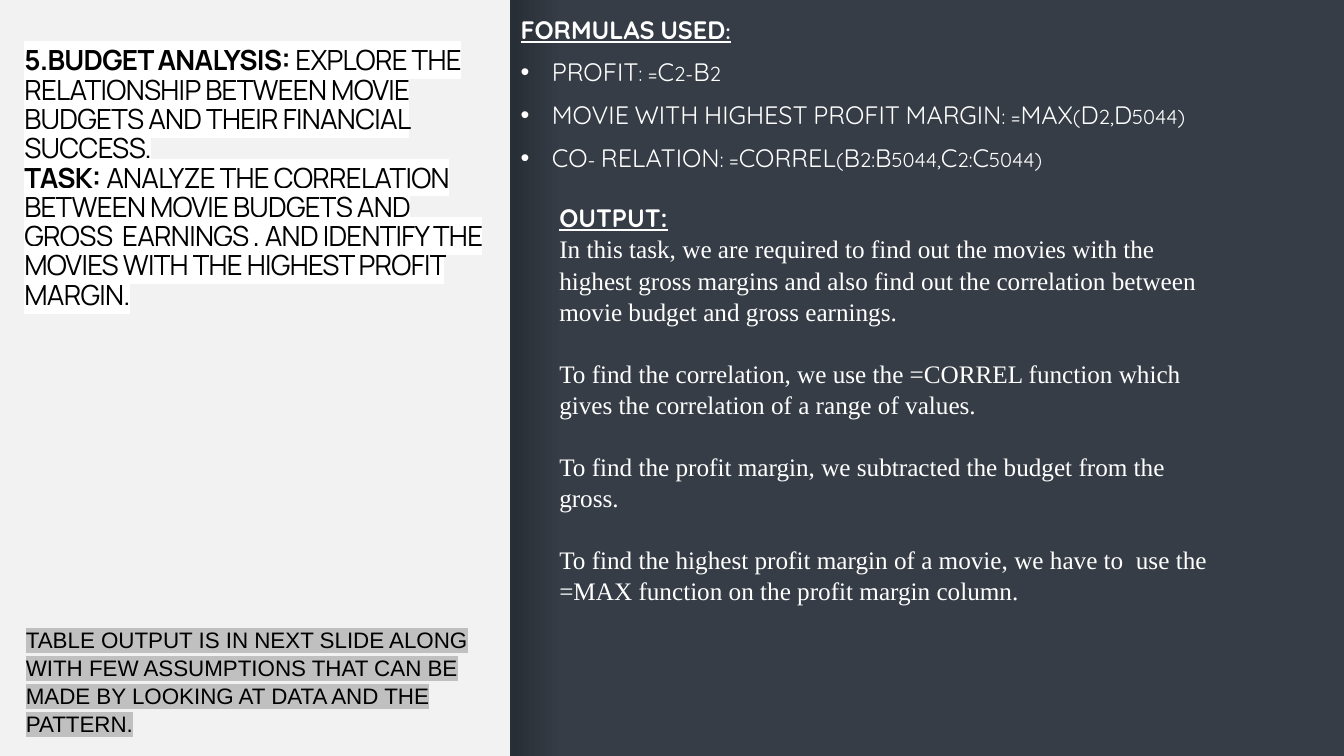
from dataclasses import dataclass

from lxml.etree import SubElement
from pptx import Presentation
from pptx.dml.color import RGBColor
from pptx.enum.shapes import MSO_CONNECTOR as Connector, MSO_SHAPE as Shape
from pptx.enum.text import MSO_ANCHOR as Anchor, MSO_AUTO_SIZE as AutoSize, PP_ALIGN as Align
from pptx.oxml import parse_xml
from pptx.oxml.ns import nsdecls, qn
from pptx.util import Inches, Pt

COLORS = {
    "background": "F2F2F2",
    "panel": "363D46",
    "edge": "282E35",
    "light": "FFFFFF",
    "dark": "000000",
    "marker": "C0C0C0",
}

# Grid of 16 columns by 9 rows
SLIDE_WIDTH, SLIDE_HEIGHT = Inches(13.333), Inches(7.5)
COLUMN, ROW = SLIDE_WIDTH / 16, SLIDE_HEIGHT / 9


@dataclass(frozen=True)
class Box:
    left: float
    top: float
    width: float
    height: float

    def lengths(self) -> tuple[int, int, int, int]:
        return (round(self.left * COLUMN), round(self.top * ROW),
                round(self.width * COLUMN), round(self.height * ROW))


@dataclass(frozen=True)
class Style:
    font: str
    size: float
    color: str
    bold: bool = False
    underline: bool = False
    small_caps: bool = False
    highlight: str = ""
    tracking: int = 0


@dataclass(frozen=True)
class Line:
    runs: list[tuple[str, Style]]
    before: float = 0
    after: float = 0
    spacing: float = 1.0
    bullet: bool = False


def rgb(name: str) -> RGBColor:
    return RGBColor.from_string(COLORS[name])


def format_run(run, style: Style) -> None:
    font = run.font
    font.name, font.size = style.font, Pt(style.size)
    font.bold, font.underline = style.bold, style.underline
    font.color.rgb = rgb(style.color)
    properties = run._r.get_or_add_rPr()
    if style.small_caps:
        properties.set("cap", "small")
    if style.tracking:
        properties.set("spc", str(style.tracking))
    if style.highlight:
        properties.find(qn("a:solidFill")).addnext(parse_xml(
            f'<a:highlight {nsdecls("a")}>'
            f'<a:srgbClr val="{COLORS[style.highlight]}"/></a:highlight>'))


def add_bullet(paragraph) -> None:
    properties = paragraph._p.get_or_add_pPr()
    properties.set("marL", str(Inches(0.31)))
    properties.set("indent", str(-Inches(0.31)))
    color = SubElement(properties, qn("a:buClr"))
    SubElement(color, qn("a:srgbClr")).set("val", COLORS["light"])
    SubElement(properties, qn("a:buFont")).set("typeface", "Arial")
    SubElement(properties, qn("a:buChar")).set("char", "•")


def write_lines(shape, lines: list[Line], anchor: Anchor) -> None:
    frame = shape.text_frame
    frame.word_wrap, frame.auto_size = True, AutoSize.NONE
    frame.vertical_anchor = anchor
    for index, line in enumerate(lines):
        paragraph = frame.add_paragraph() if index else frame.paragraphs[0]
        paragraph.alignment = Align.LEFT
        paragraph.line_spacing = line.spacing
        paragraph.space_before, paragraph.space_after = Pt(line.before), Pt(line.after)
        if line.bullet:
            add_bullet(paragraph)
        for text, style in line.runs:
            run = paragraph.add_run()
            run.text = text
            format_run(run, style)


def add_text(slide, box: Box, lines: list[Line], anchor: Anchor = Anchor.TOP) -> None:
    write_lines(slide.shapes.add_textbox(*box.lengths()), lines, anchor)


def add_rectangle(slide, box: Box):
    shape = slide.shapes.add_shape(Shape.RECTANGLE, *box.lengths())
    shape.shadow.inherit = False
    shape.line.fill.background()
    return shape


def add_title(slide) -> None:
    strong = Style("Manrope", 19.8, "dark", bold=True, highlight="light", tracking=-50)
    plain = Style("Manrope", 19.8, "dark", highlight="light", tracking=-50)
    title = slide.shapes.title
    title.left, title.top, title.width, title.height = Box(0.17, 0.53, 5.77, 3.88).lengths()
    title.text_frame.margin_bottom = Inches(0.61)
    write_lines(title, [
        Line([("5.BUDGET ANALYSIS:", strong),
              ("\u00a0EXPLORE THE RELATIONSHIP BETWEEN MOVIE BUDGETS "
               "AND THEIR FINANCIAL SUCCESS.", plain)], spacing=0.88),
        Line([("TASK: ", strong),
              ("ANALYZE THE CORRELATION BETWEEN MOVIE BUDGETS AND GROSS  EARNINGS , "
               "AND IDENTIFY THE MOVIES WITH THE HIGHEST PROFIT MARGIN.", plain)],
             spacing=0.88),
    ], Anchor.MIDDLE)


def add_panel(slide) -> None:
    panel = add_rectangle(slide, Box(6.08, 0, 9.92, 9))
    panel.fill.solid()
    panel.fill.fore_color.rgb = rgb("panel")

    # Shade turned on its side along the panel's left edge
    shade = add_rectangle(slide, Box(1.9, 4.2, 9, 0.61))
    shade.rotation = 90
    shade.fill.gradient()
    shade.fill.gradient_angle = 270
    for stop, name in zip(shade.fill.gradient_stops, ("panel", "edge")):
        stop.color.rgb = rgb(name)

    edge_x = round(6.1 * COLUMN)
    edge = slide.shapes.add_connector(Connector.STRAIGHT, edge_x, 0, edge_x, SLIDE_HEIGHT)
    edge.line.color.rgb = rgb("edge")
    edge.line.width = Pt(3)
    SubElement(edge._element.spPr, qn("a:effectLst"))


def add_formulas(slide) -> None:
    heading = Style("Quicksand", 18, "light", bold=True, underline=True, small_caps=True)
    formula = Style("Quicksand", 18, "light", small_caps=True)
    formulas = ["PROFIT: =C2-B2",
                "MOVIE WITH HIGHEST PROFIT MARGIN: =MAX(D2,D5044)",
                "CO- RELATION: =CORREL(B2:B5044,C2:C5044)"]
    lines = [Line([("FORMULAS USED:", heading)], after=6)]
    lines += [Line([(text, formula)], before=3, after=6, bullet=True) for text in formulas]
    add_text(slide, Box(6.08, 0, 9.92, 2.22), lines, Anchor.MIDDLE)


def add_output(slide) -> None:
    heading = Style("Quicksand", 18, "light", bold=True, underline=True)
    body = Style("Times New Roman", 18, "light")
    findings = [
        "In this task, we are required to find out the movies with the highest gross margins "
        "and also find out the correlation between movie budget and gross earnings.",
        "To find the correlation, we use the =CORREL function which gives the correlation "
        "of a range of values.",
        "To find the profit margin, we subtracted the budget from the gross.",
        "To find the highest profit margin of a movie, we have to  use the =MAX function "
        "on the profit margin column.",
    ]
    lines = [Line([("OUTPUT:", heading)])]
    lines += [Line([(text, body)], before=21.5 if index else 0, spacing=1.04)
              for index, text in enumerate(findings)]
    add_text(slide, Box(6.54, 2.35, 8.1, 4.85), lines)


def add_note(slide) -> None:
    note = Style("Arial", 16, "dark", highlight="marker")
    add_text(slide, Box(0.19, 7.38, 5.81, 1.09), [
        Line([("TABLE OUTPUT IS IN NEXT SLIDE ALONG WITH FEW ASSUMPTIONS THAT CAN BE MADE "
               "BY LOOKING AT DATA AND THE PATTERN.", note)], spacing=1.04)])


def main() -> None:
    presentation = Presentation()
    presentation.slide_width, presentation.slide_height = SLIDE_WIDTH, SLIDE_HEIGHT
    slide = presentation.slides.add_slide(presentation.slide_layouts[5])
    slide.background.fill.solid()
    slide.background.fill.fore_color.rgb = rgb("background")
    for add_part in (add_title, add_panel, add_formulas, add_output, add_note):
        add_part(slide)
    presentation.save("out.pptx")


if __name__ == "__main__":
    main()
